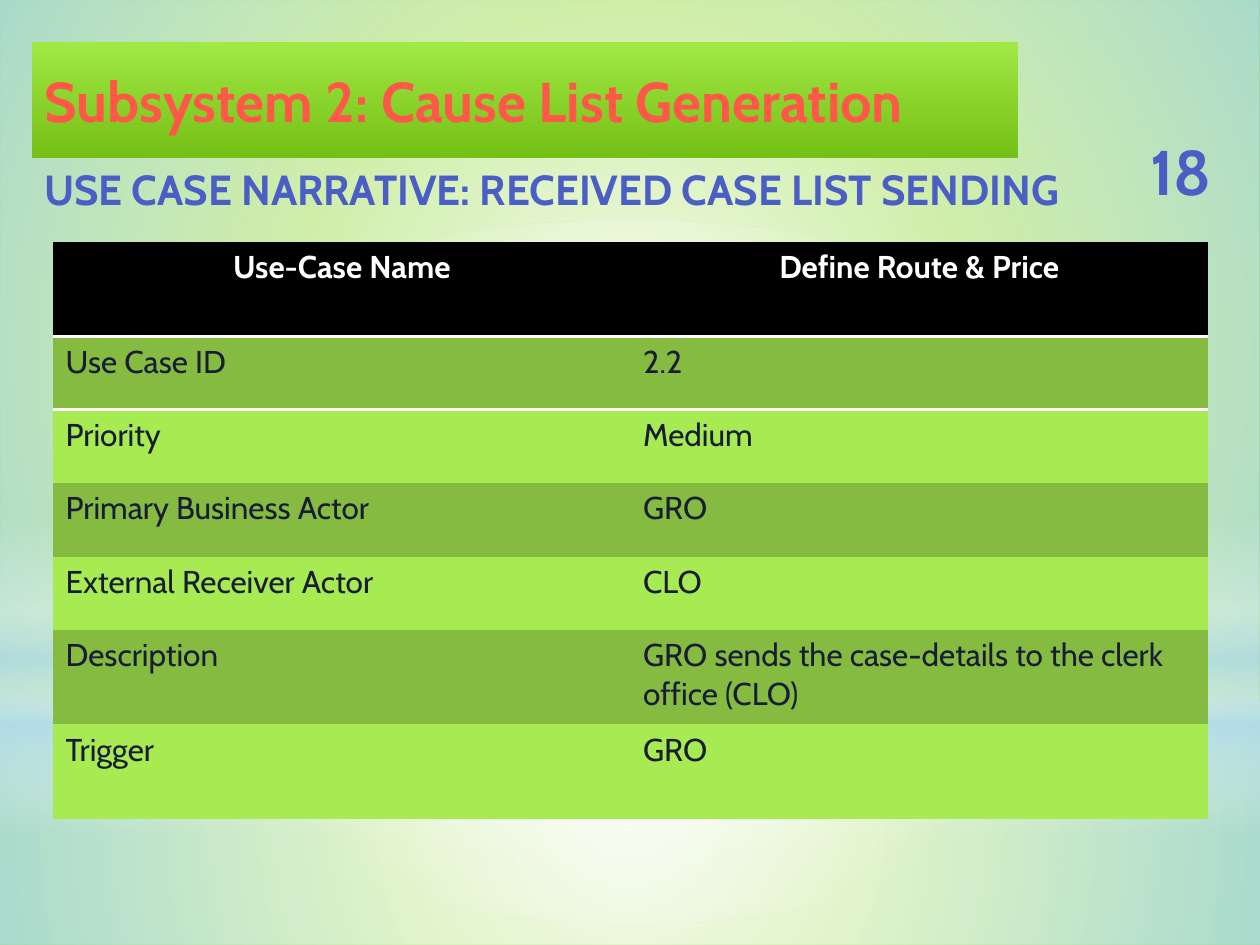
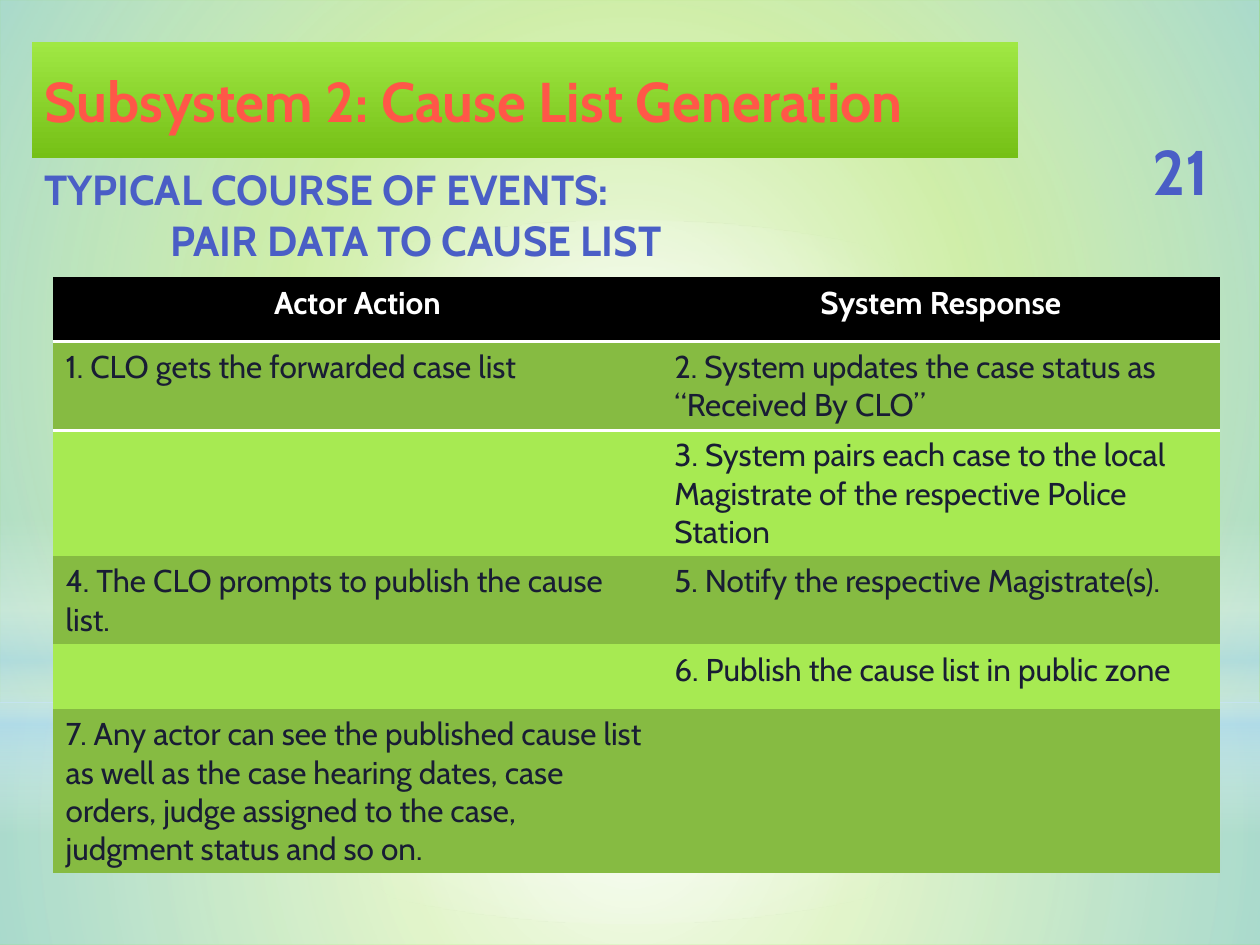
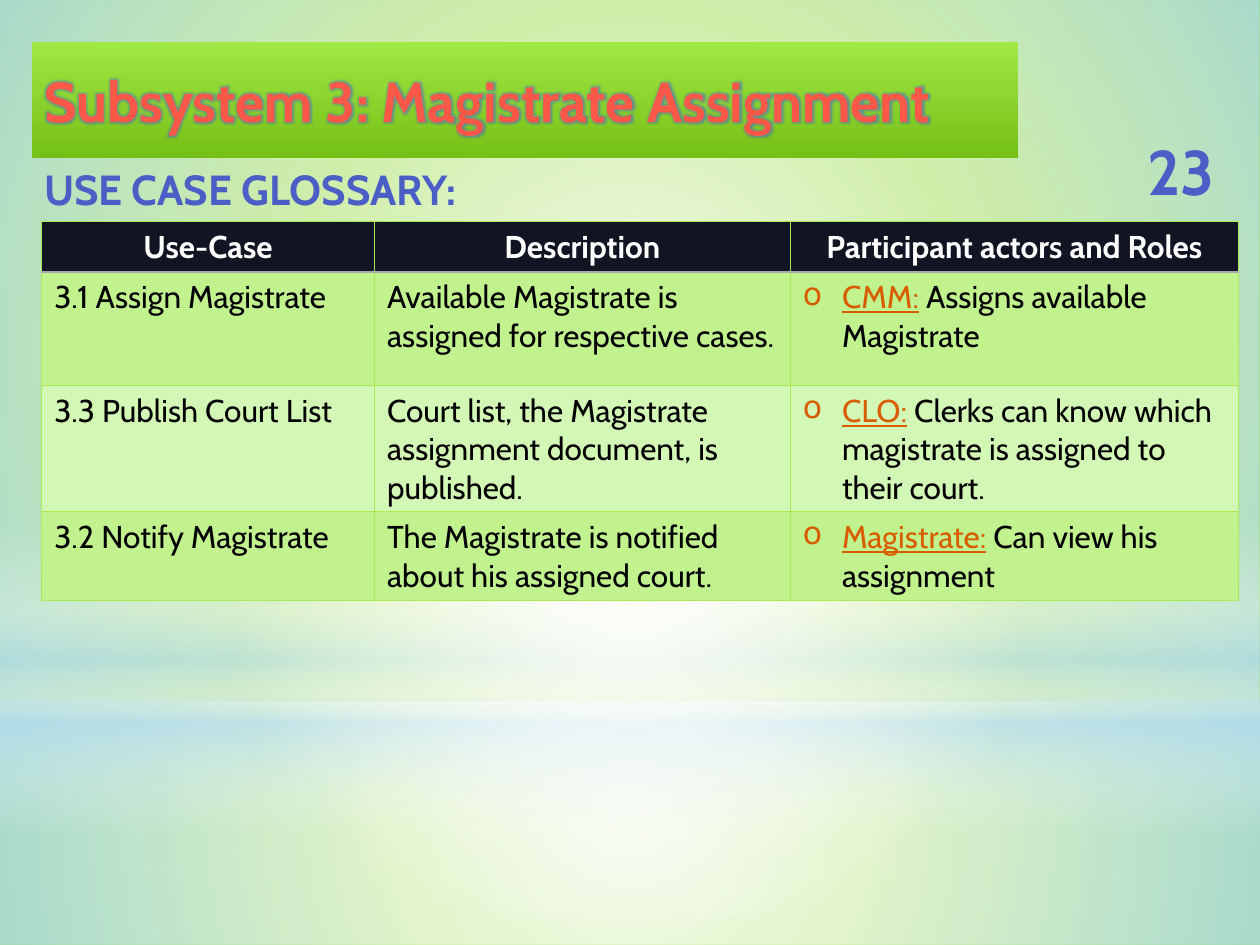
from lxml import etree
from pptx import Presentation
from pptx.dml.color import RGBColor
from pptx.enum import shapes, text
from pptx.oxml import ns
from pptx.util import Cm, Pt

FONT = "Cabin"
BASE_GREEN = RGBColor(0x81, 0xD3, 0x1A)
WHITE = RGBColor(0xFF, 0xFF, 0xFF)
BLACK = RGBColor(0x00, 0x00, 0x00)
SKY = RGBColor(0xB4, 0xDC, 0xFA)
NAVY = RGBColor(0x19, 0x1D, 0x34)
DARK_NAVY = RGBColor(0x11, 0x14, 0x22)
OLIVE = RGBColor(0x86, 0xBB, 0x42)
LIME = RGBColor(0xA7, 0xEA, 0x52)
SOFT_LIME = RGBColor(0xC2, 0xF2, 0x8E)
PALE_LIME = RGBColor(0xD3, 0xF7, 0xB5)
GREY = RGBColor(0xA9, 0xA9, 0xA9)
ORANGE = RGBColor(0xD8, 0x5C, 0x00)
GLOW_BLUE = RGBColor(0x4E, 0x67, 0xC8)

# Gradient stops: position, colour and, where needed, opacity (percent)
BANNER_STOPS = [(0, RGBColor(0xA0, 0xE8, 0x44)), (100, RGBColor(0x75, 0xC0, 0x16))]
RED_STOPS = [
    (0, RGBColor(0xFF, 0x61, 0x55)), (25, RGBColor(0xFF, 0x57, 0x48)),
    (50, RGBColor(0xEF, 0x37, 0x18)), (75, RGBColor(0xFF, 0x57, 0x48)),
    (100, RGBColor(0xFF, 0x61, 0x55)),
]
BLUE_STOPS = [
    (0, RGBColor(0x71, 0x7F, 0xD2)), (49, RGBColor(0x4A, 0x5E, 0xC6)),
    (50, RGBColor(0x32, 0x4C, 0xB5)), (92, RGBColor(0x31, 0x47, 0x9D)),
    (100, RGBColor(0x30, 0x46, 0x9A)),
]
RECTANGLE = shapes.MSO_SHAPE.RECTANGLE
BACKDROP = [  # preset, top, height, stops, circular
    (RECTANGLE, 14.17, 4.88, [(0, WHITE, 91), (37, WHITE, 76), (100, SKY, 79)], True),
    (RECTANGLE, 0, 14.17, [(0, WHITE, 89), (48, WHITE, 62), (100, SKY, 79)], True),
    (RECTANGLE, 10.46, 6.35, [(0, WHITE, 0), (29, WHITE, 30), (45, SKY, 40),
                              (55, WHITE, 26), (65, SKY, 60), (100, WHITE, 0)], False),
    (shapes.MSO_SHAPE.OVAL, 4.45, 14.17, [(0, WHITE), (56, WHITE, 0)], True),
]
NO_TABLE_STYLE = "{2D5ABB26-0587-4C30-8999-92F81FD0307C}"


def add_node(parent, tag, **attributes):
    node = etree.SubElement(parent, ns.qn(tag))
    for name, value in attributes.items():
        node.set(name, str(value))
    return node


def set_gradient(fill, owner, stops, circular=False):
    fill.gradient()
    gradient = owner.find(ns.qn("a:gradFill"))
    gradient.clear()
    stop_list = add_node(gradient, "a:gsLst")
    for position, color, *opacity in stops:
        stop = add_node(stop_list, "a:gs", pos=position * 1000)
        color_node = add_node(stop, "a:srgbClr", val=color)
        for percent in opacity:
            add_node(color_node, "a:alpha", val=percent * 1000)
    if circular:
        path = add_node(gradient, "a:path", path="circle")
        add_node(path, "a:fillToRect", l=50000, t=50000, r=50000, b=50000)
    else:
        add_node(gradient, "a:lin", ang=5400000, scaled=0)
    return gradient


class Deck:
    def __init__(self):
        self.presentation = Presentation()
        self.presentation.slide_width = Cm(25.4)
        self.presentation.slide_height = Cm(19.05)
        self.slide = None

    def add_slide(self, title, subtitle, number, subtitle_width, glow=False):
        layout = self.presentation.slide_layouts[5]
        self.slide = self.presentation.slides.add_slide(layout)
        if len(self.presentation.slides) == 1:
            self.add_backdrop()
        self.add_banner(title, glow)
        self.add_subtitle(subtitle, subtitle_width)
        self.add_number(number)

    def add_backdrop(self):
        """Build the light effects and move them to the master."""
        master = self.presentation.slide_master
        master.background.fill.solid()
        master.background.fill.fore_color.rgb = BASE_GREEN
        for index, (preset, top, height, stops, circular) in enumerate(BACKDROP):
            shape = self.slide.shapes.add_shape(preset, 0, Cm(top), Cm(25.4), Cm(height))
            shape.shadow.inherit = False
            shape.line.fill.background()
            set_gradient(shape.fill, shape.element.spPr, stops, circular)
            shape.element.nvSpPr.cNvPr.set("id", str(20 + index))
            master.shapes.element.insert(2 + index, shape.element)

    def format_run(self, run, size, color=None, stops=None, bold=False):
        run.font.size = Pt(size)
        run.font.bold = bold
        run.font.name = FONT
        if stops:
            return set_gradient(run.font.fill, run.font._element, stops)
        run.font.color.rgb = color

    def add_banner(self, title, glow):
        banner = self.slide.shapes.title
        banner.left, banner.top = Cm(0.64), Cm(0.84)
        banner.width, banner.height = Cm(19.89), Cm(2.34)
        add_node(banner.element.spPr, "a:prstGeom", prst="roundRect")
        set_gradient(banner.fill, banner.element.spPr, BANNER_STOPS)
        frame = banner.text_frame
        frame.text = title
        frame.auto_size = text.MSO_AUTO_SIZE.NONE
        frame.vertical_anchor = text.MSO_ANCHOR.MIDDLE
        paragraph = frame.paragraphs[0]
        paragraph.alignment = text.PP_ALIGN.LEFT
        gradient = self.format_run(paragraph.runs[0], 32, stops=RED_STOPS, bold=True)
        if glow:
            effects = etree.Element(ns.qn("a:effectLst"))
            halo = add_node(effects, "a:glow", rad=45500)
            add_node(add_node(halo, "a:srgbClr", val=GLOW_BLUE), "a:alpha", val=60000)
            gradient.addnext(effects)

    def add_text(self, content, left, top, width, height, size):
        box = self.slide.shapes.add_textbox(Cm(left), Cm(top), Cm(width), Cm(height))
        frame = box.text_frame
        frame.text = content
        frame.word_wrap = True
        for paragraph in frame.paragraphs:
            self.format_run(paragraph.runs[0], size, stops=BLUE_STOPS, bold=True)
        return frame

    def add_subtitle(self, lines, width):
        height = 0.23 + 1.04 * len(lines)
        frame = self.add_text("\n".join(lines), 0.64, 3.18, width, height, 24)
        for paragraph in frame.paragraphs[1:]:
            paragraph._p.get_or_add_pPr().set("marL", str(Cm(2.54)))

    def add_number(self, number):
        frame = self.add_text(number, 22.56, 2.74, 2.49, 1.37, 36)
        frame.vertical_anchor = text.MSO_ANCHOR.MIDDLE
        frame.paragraphs[0].alignment = text.PP_ALIGN.CENTER

    def add_table(self, left, top, widths, heights, rows, header_fill=BLACK,
                  band_fills=(OLIVE, LIME), text_color=NAVY,
                  header_rule=(WHITE, 2), grid=None):
        frame = self.slide.shapes.add_table(
            len(rows), len(widths), Cm(left), Cm(top), Cm(sum(widths)), Cm(sum(heights)))
        table = frame.table
        table._tbl.tblPr.find(ns.qn("a:tableStyleId")).text = NO_TABLE_STYLE
        for column, width in zip(table.columns, widths):
            column.width = Cm(width)
        for index, (row, height, contents) in enumerate(zip(table.rows, heights, rows)):
            row.height = Cm(height)
            header = index == 0
            borders = dict.fromkeys("LRTB", grid) if grid else {}
            if header:
                borders["B"] = header_rule
            elif index == 1:
                borders["T"] = header_rule
            for cell, content in zip(row.cells, contents):
                cell.fill.solid()
                cell.fill.fore_color.rgb = header_fill if header else band_fills[(index - 1) % 2]
                self.set_borders(cell, borders)
                self.fill_cell(cell, content, WHITE if header else text_color, header)

    def set_borders(self, cell, borders):
        properties = cell._tc.get_or_add_tcPr()
        sides = [side for side in "LRTB" if side in borders]
        for index, side in enumerate(sides):
            color, width = borders[side]
            line = etree.Element(ns.qn("a:ln" + side), w=str(Pt(width)))
            add_node(add_node(line, "a:solidFill"), "a:srgbClr", val=color)
            properties.insert(index, line)

    def fill_cell(self, cell, content, color, header):
        paragraph = cell.text_frame.paragraphs[0]
        if isinstance(content, tuple):
            # Bulleted role: underlined actor, then what the actor does
            actor, duty = content
            properties = paragraph._p.get_or_add_pPr()
            properties.set("marL", str(Cm(0.79)))
            properties.set("indent", str(Cm(-0.79)))
            add_node(properties, "a:buChar", char="o")
            run = paragraph.add_run()
            run.text = actor
            self.format_run(run, 18, ORANGE)
            run.font.underline = True
            content = " " + duty
        if content:
            run = paragraph.add_run()
            run.text = content
            self.format_run(run, 18, color, bold=header)
        if header:
            paragraph.alignment = text.PP_ALIGN.CENTER


def main():
    deck = Deck()

    # Use case narrative
    deck.add_slide("Subsystem 2: Cause List Generation",
                   ["USE CASE NARRATIVE: RECEIVED CASE LIST SENDING"], "18", 21.92)
    deck.add_table(1.07, 4.88, [11.64] * 2, [1.9] + [1.48] * 4 + [1.9] * 2, [
        ["Use-Case Name", "Define Route & Price"],
        ["Use Case ID", "2.2"],
        ["Priority", "Medium"],
        ["Primary Business Actor", "GRO"],
        ["External Receiver Actor", "CLO"],
        ["Description", "GRO sends the case-details to the clerk office (CLO)"],
        ["Trigger", "GRO"],
    ])

    # Typical course of events
    deck.add_slide("Subsystem 2: Cause List Generation",
                   ["TYPICAL COURSE OF EVENTS:", "PAIR DATA TO CAUSE LIST"], "21", 25.2)
    deck.add_table(1.07, 5.59, [12.27, 11.25], [1.3, 1.3, 1.73, 1.19, 1.3, 2.24], [
        ["Actor Action", "System Response"],
        ["1. CLO gets the forwarded case list",
         "2. System updates the case status as “Received By CLO”"],
        ["", "3. System pairs each case to the local Magistrate of the respective "
             "Police Station"],
        ["4. The CLO prompts to publish the cause list.",
         "5. Notify the respective Magistrate(s)."],
        ["", "6. Publish the cause list in public zone"],
        ["7. Any actor can see the published cause list as well as the case hearing "
         "dates, case orders, judge assigned to the case, judgment status and so on.", ""],
    ])

    # Use case glossary
    deck.add_slide("Subsystem 3: Magistrate Assignment",
                   ["USE CASE GLOSSARY:"], "23", 9.04, glow=True)
    deck.add_table(0.84, 4.47, [6.71, 8.38, 9.04], [0.99, 2.29, 0.38, 1.6], [
        ["Use-Case", "Description", "Participant actors and Roles"],
        ["3.1 Assign Magistrate", "Available Magistrate is assigned for respective cases.",
         ("CMM:", "Assigns available Magistrate")],
        ["3.3 Publish Court List",
         "Court list, the Magistrate assignment document, is published.",
         ("CLO:", "Clerks can know which magistrate is assigned to their court.")],
        ["3.2 Notify Magistrate", "The Magistrate is notified about his assigned court.",
         ("Magistrate:", "Can view his assignment")],
    ], header_fill=DARK_NAVY, band_fills=(SOFT_LIME, PALE_LIME), text_color=BLACK,
        header_rule=(GREY, 1.25), grid=(LIME, 0.75))

    deck.presentation.save("out.pptx")


if __name__ == "__main__":
    main()
